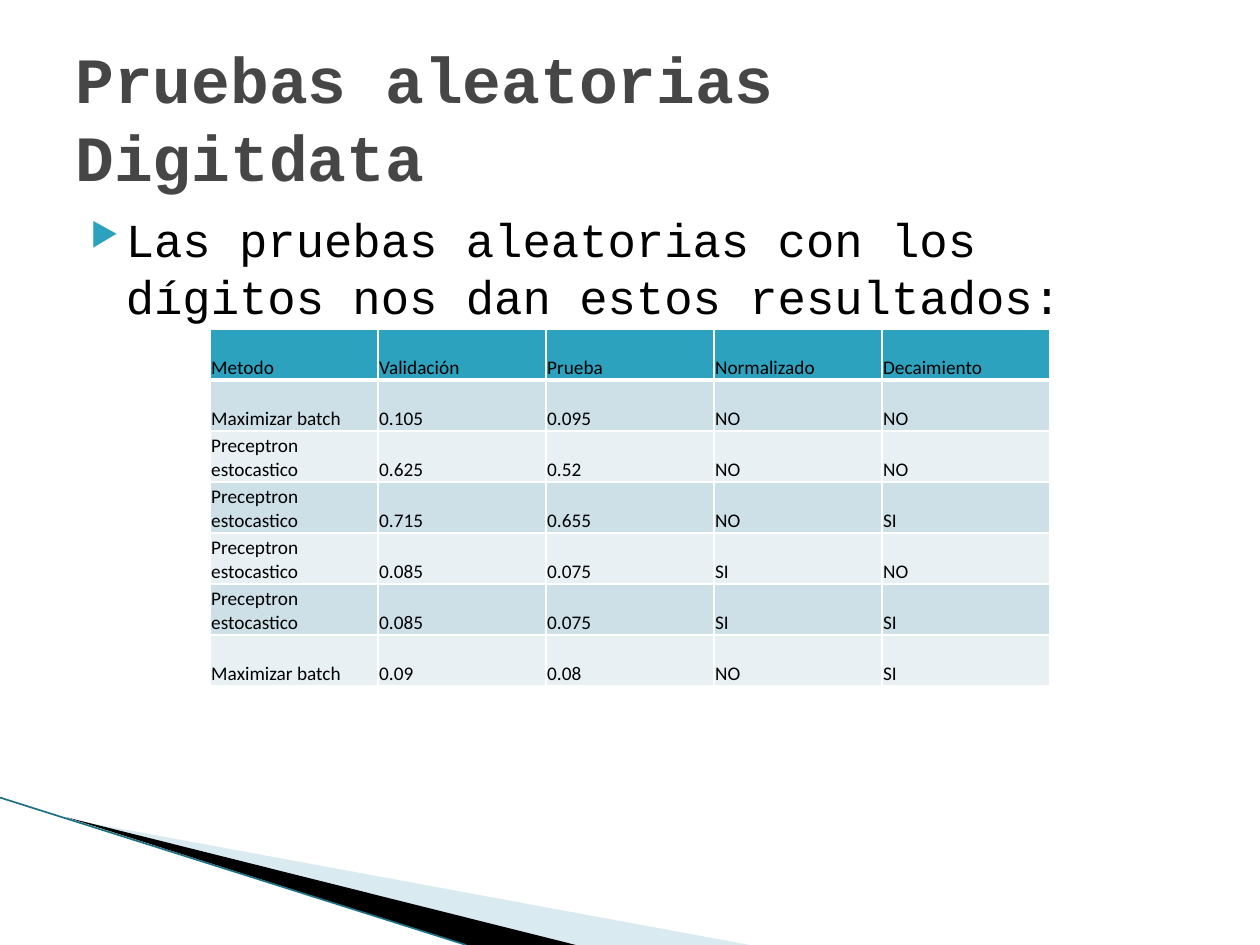
import pptx
import pptx.dml.color
import pptx.enum.shapes
import pptx.enum.text
import pptx.oxml
import pptx.oxml.ns
import pptx.util
import lxml.etree

COLORS = {
    "white": "FFFFFF", "black": "000000", "title": "464646", "accent": "2DA2BF",
    "band_dark": "CDE0E8", "band_light": "E8F0F4", "wedge": "A0CBDC", "edge": "1D7185",
}
A = pptx.oxml.ns.nsdecls("a")
ANCHOR = pptx.enum.text.MSO_ANCHOR


def rgb(name):
    return pptx.dml.color.RGBColor.from_string(COLORS[name])


def write(tf, text, font="Courier New", size=11, color="black", bold=False, anchor=ANCHOR.TOP):
    tf.word_wrap = True
    tf.vertical_anchor = anchor
    p = tf.paragraphs[0]
    p.text = text
    for r in p.runs:
        r.font.name = font
        r.font.size = pptx.util.Pt(size)
        r.font.bold = bold
        r.font.color.rgb = rgb(color)
    return p


prs = pptx.Presentation()
prs.slide_width = pptx.util.Inches(10)
prs.slide_height = pptx.util.Inches(7.5)
W, H = prs.slide_width, prs.slide_height
s = prs.slides.add_slide(prs.slide_layouts[6])
s.background.fill.solid()
s.background.fill.fore_color.rgb = rgb("white")

wedges = [
    ("wedge", 40, [(0.055, 0.867), (0.595, 1), (0.456, 1)]),
    ("black", 100, [(0.053, 0.865), (0.457, 1), (0.37, 1)]),
]
for color, alpha, points in wedges:
    points = [(int(x * W), int(y * H)) for x, y in points]
    fb = s.shapes.build_freeform(*points[0])
    fb.add_line_segments(points[1:], close=True)
    sp = fb.convert_to_shape()
    sp.shadow.inherit = False
    sp.line.fill.background()
    sp.fill.solid()
    sp.fill.fore_color.rgb = rgb(color)
    if alpha < 100:
        clr = sp.fill._xPr.find(".//" + pptx.oxml.ns.qn("a:srgbClr"))
        clr.append(pptx.oxml.parse_xml(f'<a:alpha {A} val="{alpha * 1000}"/>'))

edge = s.shapes.add_connector(
    pptx.enum.shapes.MSO_CONNECTOR.STRAIGHT, 0, int(0.844 * H), int(0.37 * W), H)
edge.line.color.rgb = rgb("edge")
edge.line.width = pptx.util.Pt(0.95)
lxml.etree.SubElement(edge._element.spPr, pptx.oxml.ns.qn("a:effectLst"))

body = s.shapes.add_textbox(int(0.05 * W), int(0.216 * H), int(0.9 * W), int(0.66 * H))
p = write(body.text_frame, "Las pruebas aleatorias con los dígitos nos dan estos resultados:", size=27)
p.space_before = pptx.util.Pt(4)
pPr = p._p.get_or_add_pPr()
pPr.set("marL", str(pptx.util.Inches(0.4)))
pPr.set("indent", str(pptx.util.Inches(-0.28)))
for xml in (
    f'<a:buClr {A}><a:srgbClr val="{COLORS["accent"]}"/></a:buClr>',
    f'<a:buSzPct {A} val="68000"/>',
    f'<a:buChar {A} char="▶"/>',
):
    pPr.append(pptx.oxml.parse_xml(xml))

title = s.shapes.add_textbox(int(0.05 * W), int(0.04 * H), int(0.9 * W), H // 6)
write(title.text_frame, "Pruebas aleatorias\nDigitdata", size=36.9, color="title",
      bold=True, anchor=ANCHOR.MIDDLE)

rows = [
    ("Metodo", "Validación", "Prueba", "Normalizado", "Decaimiento"),
    ("Maximizar batch", "0.105", "0.095", "NO", "NO"),
    ("Preceptron estocastico", "0.625", "0.52", "NO", "NO"),
    ("Preceptron estocastico", "0.715", "0.655", "NO", "SI"),
    ("Preceptron estocastico", "0.085", "0.075", "SI", "NO"),
    ("Preceptron estocastico", "0.085", "0.075", "SI", "SI"),
    ("Maximizar batch", "0.09", "0.08", "NO", "SI"),
]
table = s.shapes.add_table(
    len(rows), len(rows[0]), W // 6, int(0.348 * H), W * 2 // 3, int(0.378 * H)).table
for i, row in enumerate(rows):
    fill = "accent" if i == 0 else ("band_light", "band_dark")[i % 2]
    for j, text in enumerate(row):
        cell = table.cell(i, j)
        cell.margin_left = cell.margin_right = cell.margin_top = pptx.util.Inches(0.01)
        cell.margin_bottom = 0
        write(cell.text_frame, text, font="Calibri")
        cell.vertical_anchor = ANCHOR.BOTTOM
        tcPr = cell._tc.get_or_add_tcPr()
        for side in "LRTB":
            heavy = (side == "B" and i == 0) or (side == "T" and i == 1)
            width = pptx.util.Pt(3 if heavy else 1)
            tcPr.append(pptx.oxml.parse_xml(
                f'<a:ln{side} {A} w="{width}"><a:solidFill>'
                f'<a:srgbClr val="{COLORS["white"]}"/></a:solidFill></a:ln{side}>'))
        cell.fill.solid()
        cell.fill.fore_color.rgb = rgb(fill)

prs.save("out.pptx")
